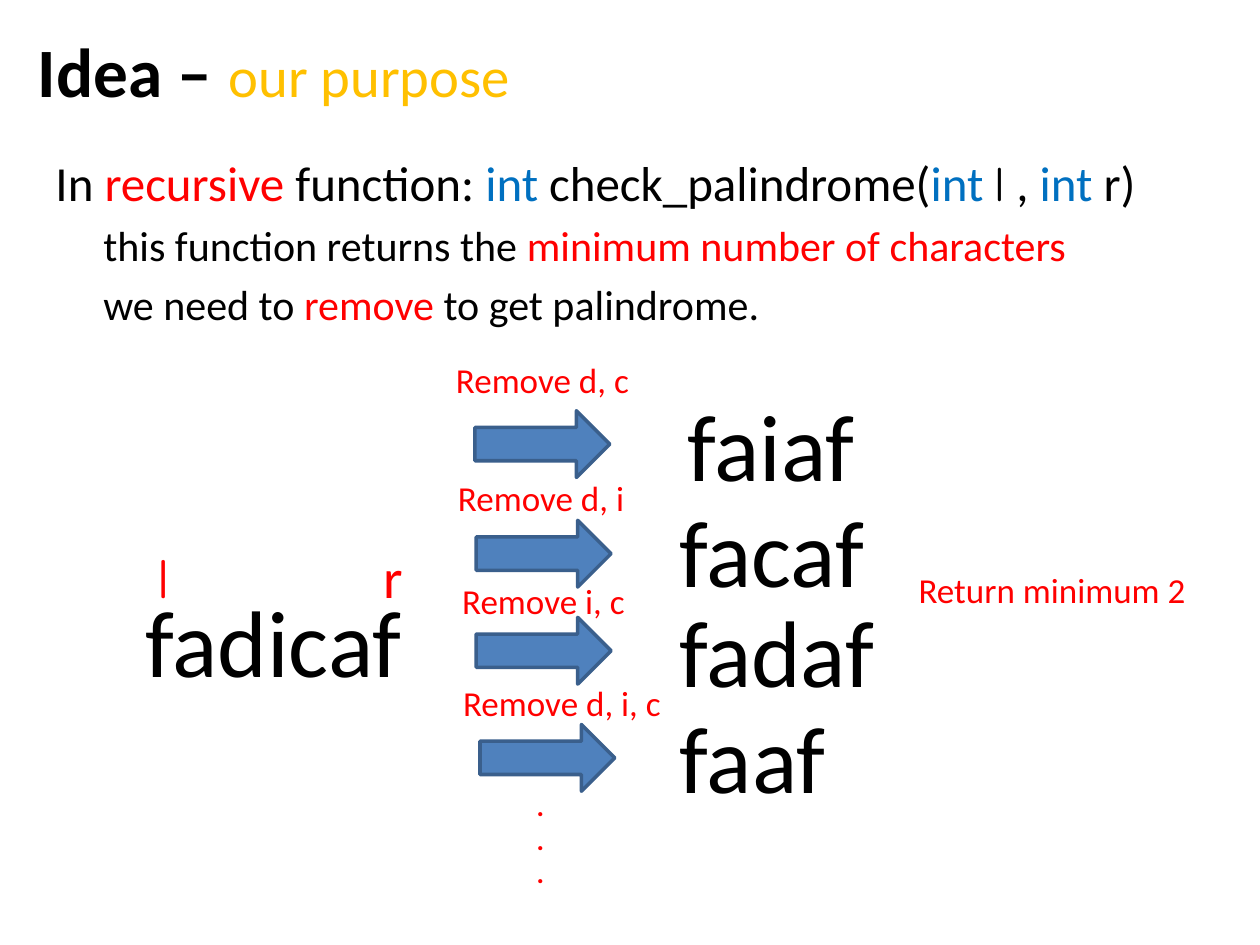
from pptx import Presentation
from pptx.dml.color import RGBColor
from pptx.enum.shapes import MSO_SHAPE as Geo
from pptx.enum.text import MSO_ANCHOR as Anchor, PP_ALIGN as Align
from pptx.oxml.ns import qn
from pptx.util import Inches, Pt

BLACK, RED, BLUE, GOLD = "000000", "FF0000", "0070C0", "FFC000"
FILL, EDGE = "4F81BD", "3A5F8C"


def tint(color, code):
    color.rgb = RGBColor.from_string(code)


def write(para, text, size=20, color=BLACK, font="Calibri", bold=False):
    for i, line in enumerate(text.split("\n")):
        if i:
            para.add_line_break()
        run = para.add_run()
        run.text = line
        run.font.size = Pt(size)
        run.font.name = font
        run.font.bold = bold
        tint(run.font.color, color)


class Page:
    def __init__(self, deck):
        self.slide = deck.slides.add_slide(deck.slide_layouts[1])

    def place(self, shape, box):
        shape.left, shape.top, shape.width, shape.height = map(Inches, box)
        return shape.text_frame

    def title(self, box, runs):
        frame = self.place(self.slide.shapes.title, box)
        frame.vertical_anchor = Anchor.MIDDLE
        para = frame.paragraphs[0]
        para.alignment = Align.LEFT
        for text, form in runs:
            write(para, text, **form)

    def body(self, box, lines):
        frame = self.place(self.slide.placeholders[1], box)
        for i, (size, indent, runs) in enumerate(lines):
            para = frame.add_paragraph() if i else frame.paragraphs[0]
            para.space_before = Pt(size * 0.2)
            props = para._p.get_or_add_pPr()
            props.set("marL", str(Inches(indent)))
            props.set("indent", "0")
            props.append(props.makeelement(qn("a:buNone"), {}))
            for text, form in runs:
                write(para, text, size=size, **form)

    def label(self, box, text, **form):
        shape = self.slide.shapes.add_textbox(*map(Inches, box))
        frame = shape.text_frame
        frame.word_wrap = False
        para = frame.paragraphs[0]
        para.alignment = Align.CENTER
        write(para, text, **form)

    def arrow(self, left, top):
        shape = self.slide.shapes.add_shape(
            Geo.RIGHT_ARROW, *map(Inches, (left, top, 1.07, 0.53)))
        shape.shadow.inherit = False
        shape.fill.solid()
        tint(shape.fill.fore_color, FILL)
        tint(shape.line.color, EDGE)
        shape.line.width = Pt(2)


deck = Presentation()
deck.slide_width, deck.slide_height = Inches(10), Inches(7.5)
page = Page(deck)

page.title((0.2, 0.16, 8.01, 0.79), [
    ("Idea – ", dict(size=39.6, bold=True)),
    ("our purpose", dict(size=32.4, color=GOLD)),
])

red, blue = dict(color=RED), dict(color=BLUE)
page.body((0.34, 1.16, 9, 4.95), [
    (28, 0, [
        ("In ", {}), ("recursive", red), (" function: ", {}), ("int ", blue),
        ("check_palindrome(", {}), ("int ", blue),
        ("l", dict(font="Comic Neue")), (" , ", {}), ("int", blue),
        (" r)", {}),
    ]),
    (24, 0.38, [
        ("this function returns the ", {}),
        ("minimum number of characters", red),
    ]),
    (24, 0.38, [
        ("we need to ", {}), ("remove", red), (" to get palindrome.", {}),
    ]),
])

steps = [
    ("Remove d, c", (3.51, 2.8, 1.59), (3.77, 3.26), "faiaf", (5.35, 3.02, 1.54)),
    ("Remove d, i", (3.53, 3.73, 1.53), (3.78, 4.13), "facaf", (5.28, 3.86, 1.69)),
    ("Remove i, c ", (3.56, 4.55, 1.57), (3.78, 4.9), "fadaf", (5.28, 4.66, 1.77)),
    ("Remove d, i, c", (3.57, 5.36, 1.78), (3.81, 5.75), "faaf", (5.29, 5.5, 1.37)),
]
for note, spot, tail, word, end in steps:
    page.arrow(*tail)
    page.label((*spot, 0.44), note, color=RED)
    page.label((*end, 1.01), word, size=54)

page.label((1.04, 4.58, 2.26, 1.01), "fadicaf", size=54)
page.label((1.14, 4.26, 0.31, 0.64), "l", size=32, color=RED, font="Comic Neue")
page.label((2.94, 4.26, 0.36, 0.64), "r", size=32, color=RED)
page.label((7.18, 4.46, 2.34, 0.44), "Return minimum 2", color=RED)
page.label((4.16, 6.21, 0.26, 0.91), ".\n.\n.", size=16, color=RED, bold=True)

deck.save("out.pptx")
